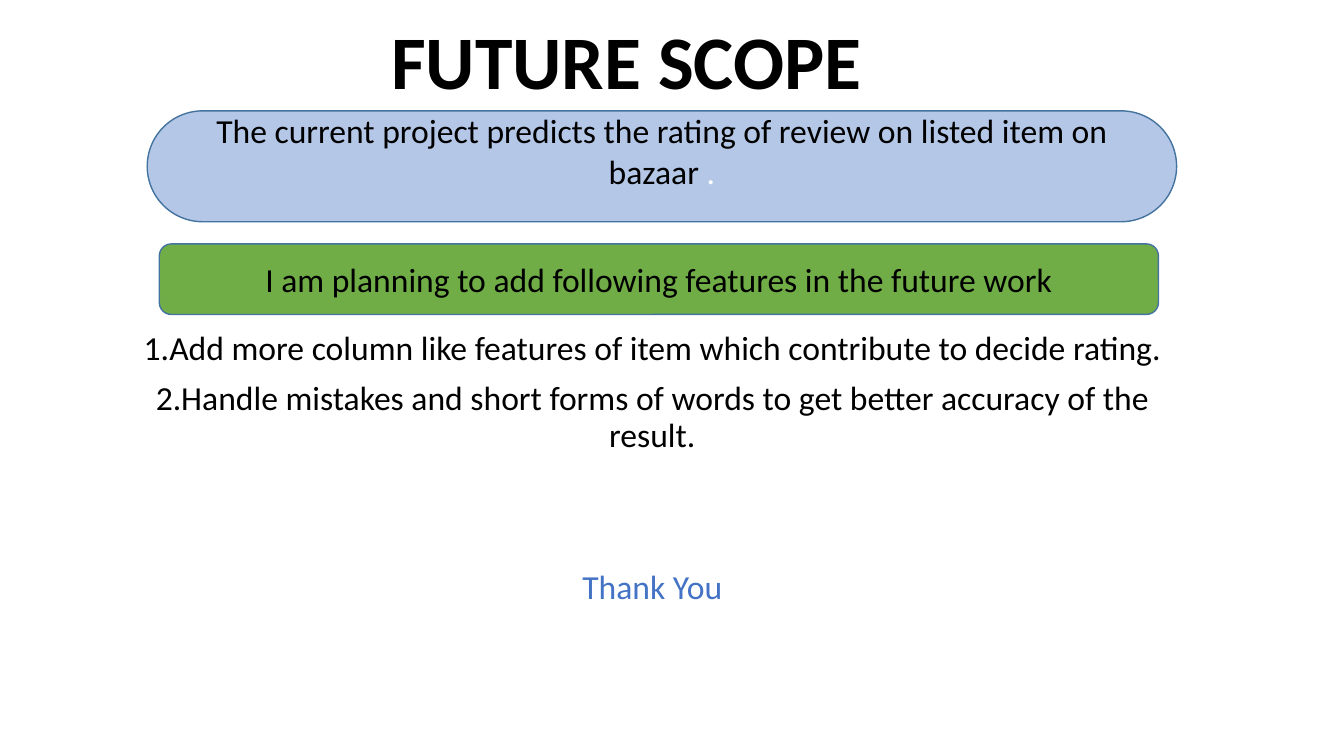
from pptx import Presentation
from pptx.dml.color import RGBColor
from pptx.enum.shapes import MSO_SHAPE
from pptx.enum.text import MSO_ANCHOR, PP_ALIGN
from pptx.util import Inches, Pt

BLACK = RGBColor(0x00, 0x00, 0x00)
WHITE = RGBColor(0xFF, 0xFF, 0xFF)
PALE_BLUE = RGBColor(0xB4, 0xC7, 0xE7)
GREEN = RGBColor(0x70, 0xAD, 0x47)
OUTLINE = RGBColor(0x43, 0x73, 0x9E)
ACCENT = RGBColor(0x44, 0x72, 0xC4)


def add_run(paragraph, text, color=BLACK, size=24, bold=False):
    run = paragraph.add_run()
    run.text = text
    font_format = {"name": "Calibri", "size": Pt(size), "bold": bold}
    for attribute, value in font_format.items():
        setattr(run.font, attribute, value)
    run.font.color.rgb = color
    paragraph.alignment = PP_ALIGN.CENTER


prs = Presentation()
prs.slide_width, prs.slide_height = Inches(13.33), Inches(7.5)
slide = prs.slides.add_slide(prs.slide_layouts[6])

title = slide.shapes.add_textbox(
    Inches(0.77), Inches(0.14), Inches(10.89), Inches(0.96)).text_frame
title.word_wrap = True
title.vertical_anchor = MSO_ANCHOR.BOTTOM
title.paragraphs[0].line_spacing = 0.9
add_run(title.paragraphs[0], "FUTURE SCOPE", size=54, bold=True)

features = slide.shapes.add_textbox(
    Inches(1.27), Inches(3.24), Inches(10.4), Inches(4.26)).text_frame
features.word_wrap = True
feature_lines = [
    ("1.Add more column like features of item which contribute to decide rating.", BLACK, 10),
    ("2.Handle mistakes and short forms of words to get better accuracy of the result.", BLACK, 10),
    ("Thank You", ACCENT, 83),
]
for index, (text, color, space_before) in enumerate(feature_lines):
    line = features.add_paragraph() if index else features.paragraphs[0]
    line.line_spacing = 0.9
    line.space_before = Pt(space_before)
    add_run(line, text, color)

banners = [
    (1.46, 1.1, 10.21, 1.1, 0.5, PALE_BLUE, 0.36,
     [("The current project predicts the rating of review on listed item on bazaar ", BLACK),
      (".", WHITE)]),
    (1.58, 2.42, 9.91, 0.7, 0.17, GREEN, 0.05,
     [("I am planning to add following features in the future work", BLACK)]),
]
for left, top, width, height, rounding, fill, bottom_inset, runs in banners:
    banner = slide.shapes.add_shape(
        MSO_SHAPE.ROUNDED_RECTANGLE,
        Inches(left), Inches(top), Inches(width), Inches(height))
    banner.adjustments[0] = rounding
    banner.shadow.inherit = False
    banner.fill.solid()
    banner.fill.fore_color.rgb = fill
    banner.line.color.rgb = OUTLINE
    banner.line.width = Pt(1)
    frame = banner.text_frame
    frame.word_wrap = True
    frame.vertical_anchor = MSO_ANCHOR.MIDDLE
    frame.margin_bottom = Inches(bottom_inset)
    for text, color in runs:
        add_run(frame.paragraphs[0], text, color)

prs.save("out.pptx")
